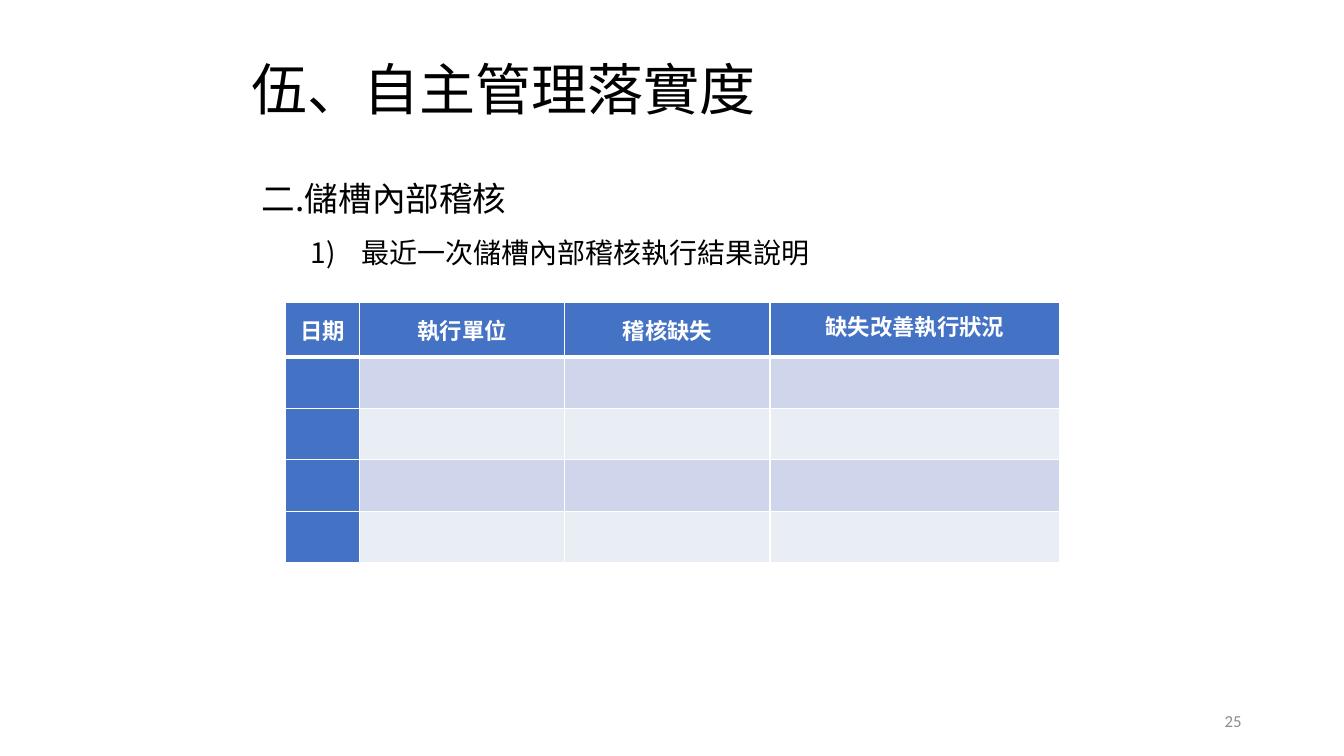
from dataclasses import dataclass

from lxml import etree
from pptx import Presentation
from pptx.dml.color import RGBColor
from pptx.enum import text
from pptx.oxml import ns
from pptx.util import Pt


@dataclass(frozen=True)
class Theme:
    cjk: str = "Noto Sans CJK SC"
    latin: str = "Calibri"
    ink: str = "000000"
    grey: str = "8C8C8C"
    white: str = "FFFFFF"
    accent: str = "4472C4"
    bands: tuple = ("CFD5EA", "E9EDF4")
    title: int = 40
    heading: int = 24
    item: int = 20
    header: int = 16
    number: int = 12


THEME = Theme()
HEADERS = ["日期", "執行單位", "稽核缺失", "缺失改善執行狀況"]
COLUMN_WIDTHS = [53, 146.5, 146.5, 207]
HEADER_HEIGHT, ROW_HEIGHT, BODY_ROWS = 39, 36.75, 4


def style(para, size, color, face=THEME.cjk, bold=False):
    """Format a whole paragraph, for Latin and East Asian text alike."""
    font = para.font
    font.size, font.name, font.bold = Pt(size), face, bold
    font.color.rgb = RGBColor.from_string(color)
    latin = para._p.pPr.find(ns.qn("a:defRPr")).find(ns.qn("a:latin"))
    east_asian = etree.Element(ns.qn("a:ea"), typeface=face)
    latin.addnext(east_asian)


def place(shape, box):
    shape.left, shape.top, shape.width, shape.height = map(Pt, box)


def add_title(page, box):
    title = page.shapes.title
    place(title, box)
    frame = title.text_frame
    frame.text = "伍、自主管理落實度"
    frame.margin_left = frame.margin_right = 0
    frame.margin_top = frame.margin_bottom = 0
    frame.vertical_anchor = text.MSO_ANCHOR.MIDDLE
    frame.auto_size = text.MSO_AUTO_SIZE.SHAPE_TO_FIT_TEXT
    para = frame.paragraphs[0]
    para.alignment = text.PP_ALIGN.LEFT
    para.line_spacing = 0.9
    style(para, THEME.title, THEME.ink)


def add_text_frame(page, box):
    frame = page.shapes.add_textbox(*map(Pt, box)).text_frame
    frame.word_wrap = True
    frame.vertical_anchor = text.MSO_ANCHOR.MIDDLE
    return frame


def add_outline(page, box):
    frame = add_text_frame(page, box)
    frame.auto_size = text.MSO_AUTO_SIZE.SHAPE_TO_FIT_TEXT
    heading, item = frame.paragraphs[0], frame.add_paragraph()
    heading.text = "二.儲槽內部稽核"
    item.text = "最近一次儲槽內部稽核執行結果說明"
    props = item._p.get_or_add_pPr()
    props.set("marL", str(Pt(71)))
    props.set("indent", str(Pt(-36)))
    etree.SubElement(props, ns.qn("a:buAutoNum"), type="arabicParenR")
    for para, size in ((heading, THEME.heading), (item, THEME.item)):
        para.line_spacing = 1.5
        style(para, size, THEME.ink)


def add_borders(cell, top, bottom):
    """Draw white cell borders; must run before the cell gets its fill."""
    props = cell._tc.get_or_add_tcPr()
    for side, width in (("L", 1), ("R", 1), ("T", top), ("B", bottom)):
        line = etree.SubElement(props, ns.qn(f"a:ln{side}"), w=str(Pt(width)))
        fill = etree.SubElement(line, ns.qn("a:solidFill"))
        etree.SubElement(fill, ns.qn("a:srgbClr"), val=THEME.white)


def add_audit_table(page, box):
    table = page.shapes.add_table(BODY_ROWS + 1, len(HEADERS), *map(Pt, box)).table
    table.first_col = True
    for column, width in zip(table.columns, COLUMN_WIDTHS):
        column.width = Pt(width)
    for r, row in enumerate(table.rows):
        row.height = Pt(ROW_HEIGHT if r else HEADER_HEIGHT)
        for c, cell in enumerate(row.cells):
            add_borders(cell, top=3 if r == 1 else 1, bottom=1 if r else 3)
            is_head = r == 0 or c == 0
            color = THEME.accent if is_head else THEME.bands[(r - 1) % 2]
            cell.fill.solid()
            cell.fill.fore_color.rgb = RGBColor.from_string(color)
            cell.vertical_anchor = text.MSO_ANCHOR.MIDDLE
            cell.margin_left = cell.margin_right = Pt(5)
            cell.margin_top = cell.margin_bottom = 0
    for cell, label in zip(table.rows[0].cells, HEADERS):
        cell.text = label
        para = cell.text_frame.paragraphs[0]
        para.alignment = text.PP_ALIGN.CENTER
        style(para, THEME.header, THEME.white, bold=True)
    para.line_spacing = Pt(18)


def add_page_number(page, box):
    para = add_text_frame(page, box).paragraphs[0]
    para.text = "25"
    para.alignment = text.PP_ALIGN.RIGHT
    style(para, THEME.number, THEME.grey, THEME.latin)


def main():
    deck = Presentation()
    deck.slide_width, deck.slide_height = Pt(960), Pt(540)
    page = deck.slides.add_slide(deck.slide_layouts.get_by_name("Title Only"))
    add_title(page, (180, 44, 549, 44))
    add_page_number(page, (678, 500.5, 216, 29))
    table_height = HEADER_HEIGHT + BODY_ROWS * ROW_HEIGHT
    add_audit_table(page, (204, 216, sum(COLUMN_WIDTHS), table_height))
    add_outline(page, (180, 111, 564, 83))
    deck.save("out.pptx")


if __name__ == "__main__":
    main()
